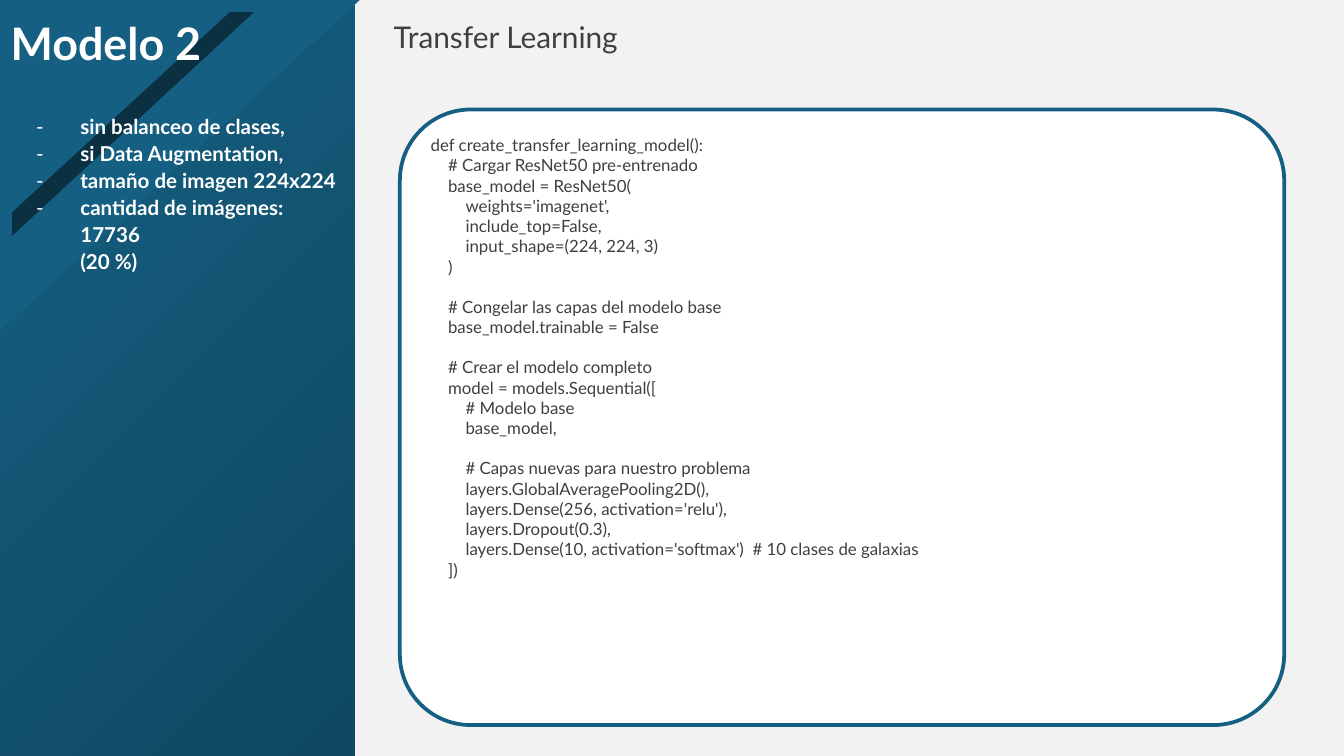
from dataclasses import dataclass

from lxml.etree import SubElement
from pptx import Presentation
from pptx.dml.color import RGBColor
from pptx.enum.shapes import MSO_SHAPE
from pptx.enum.text import MSO_ANCHOR, MSO_AUTO_SIZE, PP_ALIGN
from pptx.oxml.ns import qn
from pptx.util import Pt

RECTANGLE = MSO_SHAPE.RECTANGLE
ROUNDED_RECTANGLE = MSO_SHAPE.ROUNDED_RECTANGLE
TOP = MSO_ANCHOR.TOP
MIDDLE = MSO_ANCHOR.MIDDLE
LEFT = PP_ALIGN.LEFT
NO_AUTOFIT = MSO_AUTO_SIZE.NONE

EMU_PER_PX = 4572
SLIDE_WIDTH = 2000
SLIDE_HEIGHT = 1125
PANEL_WIDTH = 528
TITLE_ONLY = 5
FONT = "Lato"
BACKGROUND = "F2F2F2"
WHITE = "FFFFFF"
TEAL = "156082"
DEEP_TEAL = "0F4861"
DARK_TEAL = "0A3041"
GREY = "3F3F3F"

CODE_SIZE = 9
CODE_INDENT = 26
BLANK_LINE = 10.8
BULLET_MARGIN = 100
BULLET_HANG = 66


@dataclass(frozen=True)
class Box:
    left: int
    top: int
    width: int
    height: int


@dataclass(frozen=True)
class Band:
    points: tuple[tuple[int, int], ...]
    color: str


@dataclass(frozen=True)
class Line:
    text: str
    level: int = 0
    after_gap: bool = False


BANDS = (
    Band(((0, 0), (535, 0), (0, 492)), TEAL),
    Band(((342, 18), (452, 18), (18, 416), (18, 316)), DARK_TEAL),
    Band(((398, 0), (535, 0), (0, 492), (0, 368)), TEAL),
    Band(((400, 0), (535, 0), (336, 184), (200, 184)), TEAL),
)

BULLETS = (
    "sin balanceo de clases,",
    "si Data Augmentation,",
    "tamaño de imagen 224x224",
    "cantidad de imágenes: 17736",
)
SHARE = "(20 %)"

CODE = (
    Line("def create_transfer_learning_model():"),
    Line("# Cargar ResNet50 pre-entrenado", 1),
    Line("base_model = ResNet50(", 1),
    Line("weights='imagenet',", 2),
    Line("include_top=False,", 2),
    Line("input_shape=(224, 224, 3)", 2),
    Line(")", 1),
    Line("# Congelar las capas del modelo base", 1, True),
    Line("base_model.trainable = False", 1),
    Line("# Crear el modelo completo", 1, True),
    Line("model = models.Sequential([", 1),
    Line("# Modelo base", 2),
    Line("base_model,", 2),
    Line("# Capas nuevas para nuestro problema", 2, True),
    Line("layers.GlobalAveragePooling2D(),", 2),
    Line("layers.Dense(256, activation='relu'),", 2),
    Line("layers.Dropout(0.3),", 2),
    Line("layers.Dense(10, activation='softmax')  # 10 clases de galaxias", 2),
    Line("])", 1),
)


def px(length: int) -> int:
    return length * EMU_PER_PX


def rgb(color: str) -> RGBColor:
    return RGBColor.from_string(color)


def place(box: Box) -> tuple[int, int, int, int]:
    return px(box.left), px(box.top), px(box.width), px(box.height)


def set_frame(text_frame, horizontal: int, vertical: int, anchor=TOP) -> None:
    text_frame.word_wrap = True
    text_frame.auto_size = NO_AUTOFIT
    text_frame.vertical_anchor = anchor
    text_frame.margin_left = text_frame.margin_right = px(horizontal)
    text_frame.margin_top = text_frame.margin_bottom = px(vertical)


def format_paragraph(paragraph, size: int, color: str, bold: bool = False) -> None:
    paragraph.alignment = LEFT
    for run in paragraph.runs:
        run.font.name = FONT
        run.font.size = Pt(size)
        run.font.bold = bold
        run.font.color.rgb = rgb(color)


def indent(paragraph, margin: int, first_line: int = 0) -> None:
    properties = paragraph._p.get_or_add_pPr()
    properties.set("marL", str(px(margin)))
    properties.set("indent", str(px(first_line)))


def add_dash(paragraph) -> None:
    properties = paragraph._p.get_or_add_pPr()
    color = SubElement(properties, qn("a:buClr"))
    SubElement(color, qn("a:srgbClr")).set("val", WHITE)
    SubElement(properties, qn("a:buFont")).set("typeface", FONT)
    SubElement(properties, qn("a:buChar")).set("char", "-")


def add_side_panel(slide, box: Box) -> None:
    panel = slide.shapes.add_shape(RECTANGLE, *place(box))
    panel.shadow.inherit = False
    panel.line.fill.background()
    panel.fill.gradient()
    for stop, color, position in zip(panel.fill.gradient_stops, (DEEP_TEAL, TEAL), (0, 1)):
        stop.color.rgb = rgb(color)
        stop.position = position
    gradient = panel._element.spPr.find(qn("a:gradFill"))
    gradient.remove(gradient.find(qn("a:lin")))
    radial = SubElement(gradient, qn("a:path"))
    radial.set("path", "circle")
    center = SubElement(radial, qn("a:fillToRect"))
    center.set("l", "100000")
    center.set("t", "100000")


def add_band(slide, band: Band) -> None:
    start, *others = band.points
    builder = slide.shapes.build_freeform(*start, scale=EMU_PER_PX)
    builder.add_line_segments(others, close=True)
    shape = builder.convert_to_shape()
    shape.shadow.inherit = False
    shape.fill.solid()
    shape.fill.fore_color.rgb = rgb(band.color)
    shape.line.fill.background()


def add_title(slide, box: Box) -> None:
    title = slide.shapes.title
    title.left, title.top, title.width, title.height = place(box)
    set_frame(title.text_frame, 0, 0, MIDDLE)
    title.text_frame.text = "Modelo 2"
    format_paragraph(title.text_frame.paragraphs[0], 24, WHITE, True)
    slide.shapes._spTree.append(title._element)


def add_code(slide, box: Box) -> None:
    card = slide.shapes.add_shape(ROUNDED_RECTANGLE, *place(box))
    card.adjustments[0] = 0.115
    card.shadow.inherit = False
    card.fill.solid()
    card.fill.fore_color.rgb = rgb(WHITE)
    card.line.color.rgb = rgb(TEAL)
    card.line.width = Pt(2)
    set_frame(card.text_frame, 15, 7)
    card.text_frame.text = "\n".join(line.text for line in CODE)
    for paragraph, line in zip(card.text_frame.paragraphs, CODE):
        format_paragraph(paragraph, CODE_SIZE, GREY)
        indent(paragraph, line.level * CODE_INDENT)
        if line.after_gap:
            paragraph.space_before = Pt(BLANK_LINE)


def add_text(slide, box: Box, text: str, size: int, color: str, inset: int, bold: bool):
    text_frame = slide.shapes.add_textbox(*place(box)).text_frame
    set_frame(text_frame, inset, inset)
    text_frame.text = text
    for paragraph in text_frame.paragraphs:
        format_paragraph(paragraph, size, color, bold)
        paragraph.line_spacing = 1.1
    return text_frame


def add_bullets(slide, box: Box) -> None:
    text = "\n".join((*BULLETS, SHARE))
    *dashed, share = add_text(slide, box, text, 11, WHITE, 20, True).paragraphs
    for paragraph in dashed:
        indent(paragraph, BULLET_MARGIN, -BULLET_HANG)
        add_dash(paragraph)
    indent(share, BULLET_MARGIN)


def main() -> None:
    presentation = Presentation()
    presentation.slide_width = px(SLIDE_WIDTH)
    presentation.slide_height = px(SLIDE_HEIGHT)
    slide = presentation.slides.add_slide(presentation.slide_layouts[TITLE_ONLY])
    slide.background.fill.solid()
    slide.background.fill.fore_color.rgb = rgb(BACKGROUND)
    add_side_panel(slide, Box(0, 0, PANEL_WIDTH, SLIDE_HEIGHT))
    for band in BANDS:
        add_band(slide, band)
    add_title(slide, Box(16, 18, 494, 92))
    add_code(slide, Box(595, 163, 1316, 916))
    add_bullets(slide, Box(0, 146, PANEL_WIDTH, 282))
    add_text(slide, Box(586, 22, 1146, 84), "Transfer Learning", 16, GREY, 0, False)
    presentation.save("out.pptx")


if __name__ == "__main__":
    main()
